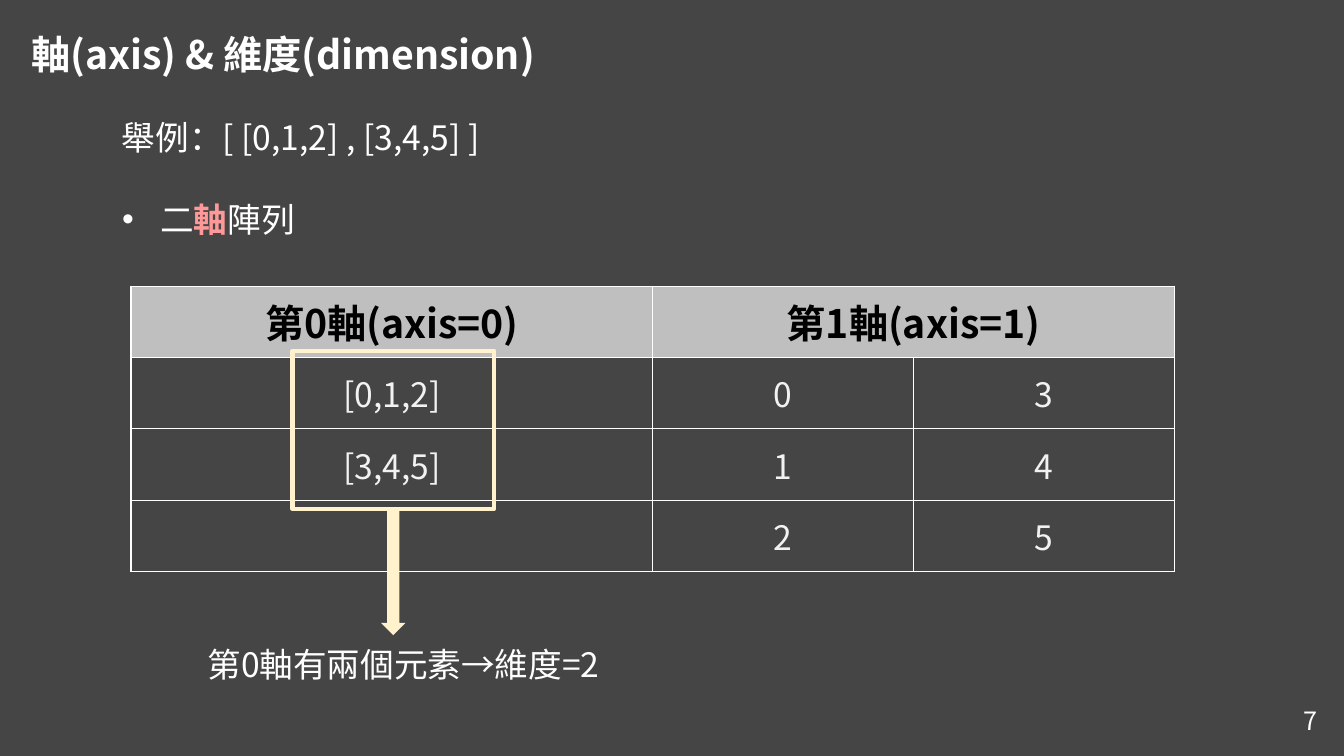
import pptx
import pptx.util
import pptx.dml.color
import pptx.enum.shapes
import pptx.enum.text
import pptx.oxml.ns
import lxml.etree

RGBColor = pptx.dml.color.RGBColor
Pt = pptx.util.Pt
Align = pptx.enum.text.PP_ALIGN
Anchor = pptx.enum.text.MSO_ANCHOR
Shape = pptx.enum.shapes.MSO_SHAPE
qn = pptx.oxml.ns.qn

CHARCOAL = RGBColor(0x45, 0x45, 0x45)
WHITE = RGBColor(0xFF, 0xFF, 0xFF)
BLACK = RGBColor(0, 0, 0)
PINK = RGBColor(0xFF, 0x99, 0x99)
CREAM = RGBColor(0xFF, 0xF2, 0xCC)
HEADER_GREY = RGBColor(0xBF, 0xBF, 0xBF)
CELL_WHITE = RGBColor(0xF2, 0xF2, 0xF2)

FONT = "Noto Sans CJK JP"
SLIDE_W, SLIDE_H = pptx.util.Inches(13.33), pptx.util.Inches(7.5)
TEXT_W, LINE_H = 56.86, 6.67  # shared size of the text lines, in percent
INDENT = pptx.util.Inches(0.38)


def area(left, top, width, height):
    """Turn percentages of the slide into lengths."""
    return (int(SLIDE_W * left / 100), int(SLIDE_H * top / 100),
            int(SLIDE_W * width / 100), int(SLIDE_H * height / 100))


def add_runs(paragraph, runs, size, align=Align.LEFT):
    """Add (text, colour, bold) runs to a paragraph."""
    paragraph.alignment = align
    for text, colour, bold in runs:
        run = paragraph.add_run()
        run.text = text
        run.font.size, run.font.bold, run.font.name = Pt(size), bold, FONT
        run.font.color.rgb = colour
        east_asian = lxml.etree.SubElement(run.font._element, qn("a:ea"))
        east_asian.set("typeface", FONT)


def fill_text(holder, box, runs, size, align=Align.LEFT, space_before=0):
    """Move a text holder, write one line in it and return the paragraph."""
    holder.left, holder.top, holder.width, holder.height = box
    frame = holder.text_frame
    frame.word_wrap = True
    frame.auto_size = pptx.enum.text.MSO_AUTO_SIZE.SHAPE_TO_FIT_TEXT
    frame.vertical_anchor = Anchor.MIDDLE
    line = frame.paragraphs[0]
    line.space_before = Pt(space_before)
    add_runs(line, runs, size, align)
    return line


def add_text(slide, box, text, size, **layout):
    fill_text(slide.shapes.add_textbox(*box), box, [(text, WHITE, False)],
              size, **layout)


def set_bullet(paragraph):
    properties = paragraph._p.get_or_add_pPr()
    properties.set("marL", str(INDENT))
    properties.set("indent", str(-INDENT))
    lxml.etree.SubElement(properties, qn("a:buChar")).set("char", "•")


def set_borders(cell, colour):
    properties = cell._tc.get_or_add_tcPr()
    for side in ("lnL", "lnR", "lnT", "lnB"):
        line = lxml.etree.SubElement(properties, qn("a:" + side), w=str(Pt(1)))
        solid = lxml.etree.SubElement(line, qn("a:solidFill"))
        lxml.etree.SubElement(solid, qn("a:srgbClr"), val=str(colour))


def add_axis_table(slide, box, rows):
    """Draw the table: one wide column, then two of half its width."""
    table = slide.shapes.add_table(len(rows), 3, *box).table
    table.horz_banding = False
    for column, share in zip(table.columns, (2, 1, 1)):
        column.width = box[2] * share // 4
    for row_index, texts in enumerate(rows):
        is_header = row_index == 0
        for column_index, text in enumerate(texts):
            cell = table.cell(row_index, column_index)
            cell.vertical_anchor = Anchor.MIDDLE
            set_borders(cell, WHITE)
            if is_header:
                cell.fill.solid()
                cell.fill.fore_color.rgb = HEADER_GREY
            else:
                cell.fill.background()
            if text:
                colour = BLACK if is_header else CELL_WHITE
                add_runs(cell.text_frame.paragraphs[0],
                         [(text, colour, is_header)],
                         28 if is_header else 24, Align.CENTER)
    table.cell(0, 1).merge(table.cell(0, 2))


def add_marker(slide, kind, box, fill=None, line=None):
    marker = slide.shapes.add_shape(kind, *box)
    marker.shadow.inherit = False
    if fill is None:
        marker.fill.background()
    else:
        marker.fill.solid()
        marker.fill.fore_color.rgb = fill
    if line is None:
        marker.line.fill.background()
    else:
        marker.line.color.rgb = line
        marker.line.width = Pt(3)


def main():
    deck = pptx.Presentation()
    deck.slide_width, deck.slide_height = SLIDE_W, SLIDE_H
    slide = deck.slides.add_slide(deck.slide_layouts[1])
    slide.background.fill.solid()
    slide.background.fill.fore_color.rgb = CHARCOAL

    # Title, example and bullet
    fill_text(slide.shapes.title, area(1.58, 3.33, TEXT_W, 7.6),
              [("軸(axis) & 維度(dimension)", WHITE, True)], 28)
    add_text(slide, area(8.33, 14.8, TEXT_W, LINE_H),
             "舉例：[ [0,1,2] , [3,4,5] ]", 24)
    array_kind = fill_text(
        slide.placeholders[1], area(8.33, 25.6, TEXT_W, LINE_H),
        [("二", WHITE, False), ("軸", PINK, True), ("陣列", WHITE, False)],
        24, space_before=12)
    set_bullet(array_kind)

    # Axis table
    add_axis_table(slide, area(9.75, 37.87, 77.64, 37.73), [
        ("第0軸(axis=0)", "第1軸(axis=1)", ""),
        ("[0,1,2]", "0", "3"),
        ("[3,4,5]", "1", "4"),
        ("", "2", "5"),
    ])

    # Elements of axis 0 and their conclusion
    add_marker(slide, Shape.DOWN_ARROW, area(28.36, 67.47, 1.8, 16.53),
               fill=CREAM)
    add_text(slide, area(14.7, 84.53, TEXT_W, LINE_H),
             "第0軸有兩個元素→維度=2", 24, space_before=12)
    add_marker(slide, Shape.RECTANGLE, area(21.76, 46.4, 15, 20.93),
               line=CREAM)

    # Page number
    add_text(slide, area(76.29, 92.67, 22.5, 5.33), "7", 18,
             align=Align.RIGHT)

    deck.save("out.pptx")


if __name__ == "__main__":
    main()
